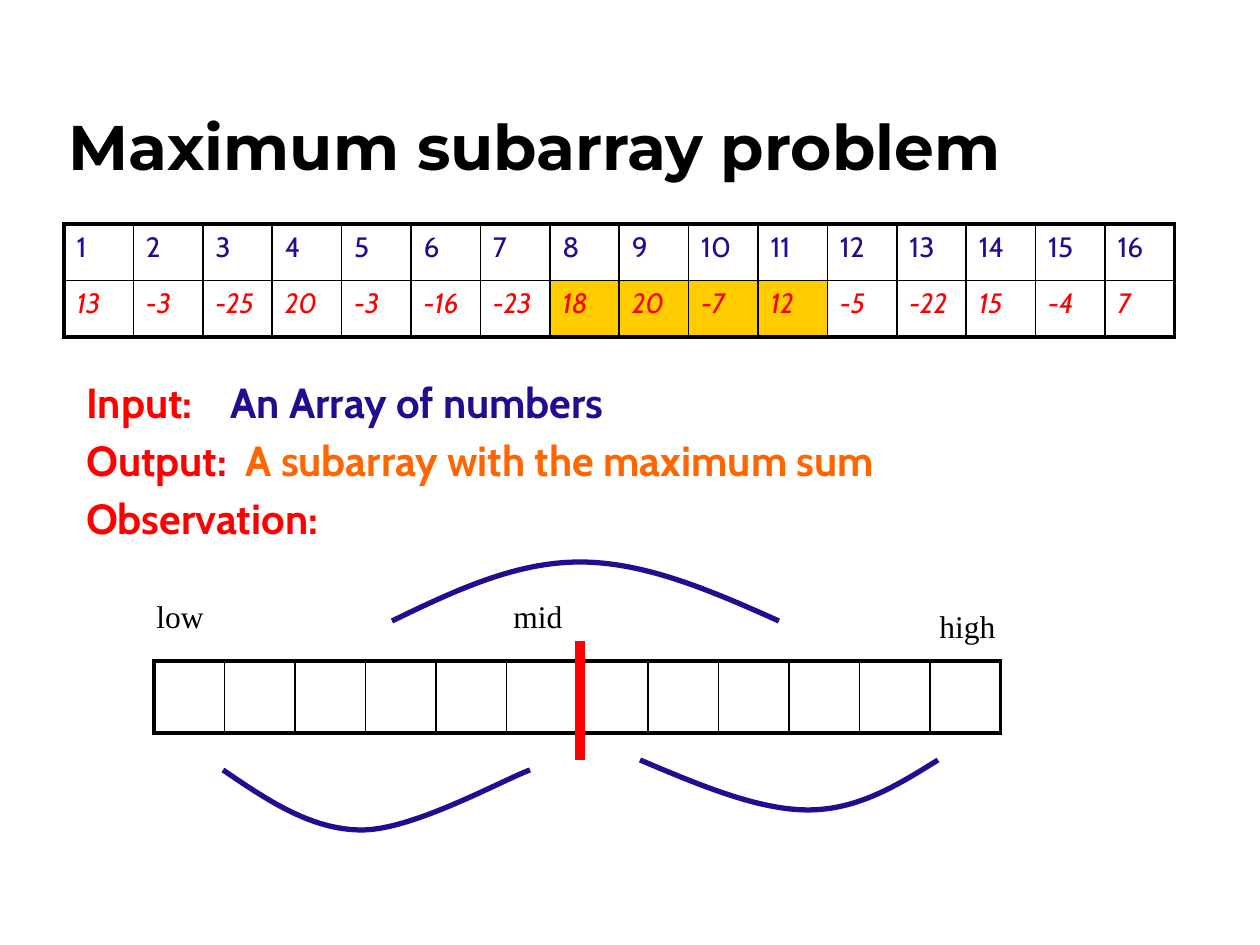
from dataclasses import dataclass

from lxml import etree
from pptx import Presentation
from pptx.dml.color import RGBColor
from pptx.enum.shapes import MSO_CONNECTOR as Conn
from pptx.enum.text import MSO_ANCHOR as Anchor
from pptx.oxml.ns import qn
from pptx.util import Emu, Pt


@dataclass(frozen=True)
class Theme:
    black: str = "000000"
    navy: str = "240B8F"
    red: str = "FF0000"
    orange: str = "FF6600"
    gold: str = "FFCC00"
    heading: str = "Montserrat"
    body: str = "Cabin"
    label: str = "Times New Roman"
    title_pt: int = 36
    body_pt: int = 24
    label_pt: int = 18
    cell_pt: int = 16
    outer_pt: float = 2.25
    inner_pt: float = 1
    curve_pt: float = 3
    split_pt: float = 6
    space_ratio: float = 0.18


T = Theme()
PX_PER_INCH = 126

NUMBERS = [13, -3, -25, 20, -3, -16, -23, 18, 20, -7, 12, -5, -22, 15, -4, 7]
BEST = range(7, 11)  # columns of the maximum subarray

# Label, answer, answer colour, tab position in px
STATEMENTS = [
    ("Input:", "An Array of numbers", T.navy, 144),
    ("Output:", "A subarray with the maximum sum", T.orange, 159),
    ("Observation:", "", T.navy, 0),
]
LABELS = [("low", 144, 591, 73), ("mid", 501, 591, 75), ("high", 927, 601, 82)]

# Start point, then three points for each Bezier segment
CURVES = [
    [(223, 770), (267, 800), (311, 830), (362, 830), (413, 830), (503, 780), (530, 770)],
    [(640, 760), (699, 785), (758, 810), (808, 810), (858, 810), (898, 785), (938, 760)],
    [(392, 621), (454, 591), (515, 562), (580, 562), (645, 562), (712, 591), (779, 621)],
]


def px(n):
    return Emu(round(n * 914400 / PX_PER_INCH))


def rgb(value):
    return RGBColor.from_string(value)


def add_text(p, text, *, font, size, color, bold=False, italic=False):
    r = p.add_run()
    r.text = text
    r.font.name, r.font.size = font, Pt(size)
    r.font.bold, r.font.italic = bold, italic
    r.font.color.rgb = rgb(color)


def add_box(s, x, y, w, h, wrap=True, anchor=Anchor.TOP):
    tf = s.shapes.add_textbox(px(x), px(y), px(w), px(h)).text_frame
    tf.word_wrap, tf.vertical_anchor = wrap, anchor
    return tf


def set_tab(p, pos):
    tabs = etree.SubElement(p._p.get_or_add_pPr(), qn("a:tabLst"))
    etree.SubElement(tabs, qn("a:tab"), pos=str(px(pos)), algn="l")


def set_borders(cell, outer):
    """Draw the sides named in outer thick and the others thin."""
    tc_pr = cell._tc.get_or_add_tcPr()
    for side in "LRTB":
        width = Pt(T.outer_pt if side in outer else T.inner_pt)
        ln = etree.SubElement(tc_pr, qn(f"a:ln{side}"), w=str(width))
        fill = etree.SubElement(ln, qn("a:solidFill"))
        etree.SubElement(fill, qn("a:srgbClr"), val=T.black)


def add_grid(s, x, y, w, h, rows, cols):
    table = s.shapes.add_table(rows, cols, px(x), px(y), px(w), px(h)).table
    table.first_row = table.horz_banding = False
    for i in range(rows):
        for j in range(cols):
            edges = {"T": i == 0, "B": i == rows - 1, "L": j == 0, "R": j == cols - 1}
            cell = table.cell(i, j)
            set_borders(cell, [side for side, on in edges.items() if on])
            cell.fill.background()
    return table


def add_number_table(s):
    table = add_grid(s, 64, 224, 1111, 113, 2, len(NUMBERS))
    for j, number in enumerate(NUMBERS):
        rows = [(j + 1, T.navy, False), (number, T.red, True)]
        for i, (value, color, italic) in enumerate(rows):
            p = table.cell(i, j).text_frame.paragraphs[0]
            p.space_before = Pt(T.cell_pt * T.space_ratio)
            add_text(p, str(value), font=T.body, size=T.cell_pt, color=color, italic=italic)
    for j in BEST:
        fill = table.cell(1, j).fill
        fill.solid()
        fill.fore_color.rgb = rgb(T.gold)


def add_statements(s):
    tf = add_box(s, 74, 370, 1131, 509)
    style = dict(font=T.body, size=T.body_pt, bold=True)
    for i, (label, answer, color, tab) in enumerate(STATEMENTS):
        p = tf.add_paragraph() if i else tf.paragraphs[0]
        p.space_before = Pt(T.body_pt * T.space_ratio)
        add_text(p, label, color=T.red, **style)
        if answer:
            set_tab(p, tab)
            add_text(p, "\t" + answer, color=color, **style)


def add_line(s, x1, y1, x2, y2, color, width):
    line = s.shapes.add_connector(Conn.STRAIGHT, px(x1), px(y1), px(x2), px(y2))
    line.line.color.rgb, line.line.width = rgb(color), Pt(width)
    etree.SubElement(line._element.spPr, qn("a:effectLst"))


def add_curve(s, points, color, width):
    start, *rest = [(px(x), px(y)) for x, y in points]
    builder = s.shapes.build_freeform(*start)
    builder.add_line_segments(rest, close=False)
    sp = builder.convert_to_shape()
    sp.shadow.inherit = False
    sp.fill.background()
    sp.line.color.rgb, sp.line.width = rgb(color), Pt(width)
    # Merge every three line segments into one Bezier segment
    segments = list(sp._element.iter(qn("a:lnTo")))
    for k in range(0, len(segments), 3):
        first, *others = segments[k:k + 3]
        first.tag = qn("a:cubicBezTo")
        for segment in others:
            first.append(segment[0])
            segment.getparent().remove(segment)


def main():
    prs = Presentation()
    prs.slide_width, prs.slide_height = px(1260), px(945)
    s = prs.slides.add_slide(prs.slide_layouts[6])

    # Title
    tf = add_box(s, 56, 32, 1071, 157, anchor=Anchor.BOTTOM)
    add_text(tf.paragraphs[0], "Maximum subarray problem", font=T.heading,
             size=T.title_pt, color=T.black, bold=True)

    # Problem statement and example
    add_statements(s)
    add_number_table(s)

    # Array split at its middle
    add_grid(s, 154, 661, 847, 72, 1, 12)
    for text, x, y, w in LABELS:
        tf = add_box(s, x, y, w, 50, wrap=False)
        add_text(tf.paragraphs[0], text, font=T.label, size=T.label_pt, color=T.black)
    add_line(s, 580, 760, 580, 641, T.red, T.split_pt)

    # Possible places of the subarray
    for points in CURVES:
        add_curve(s, points, T.navy, T.curve_pt)

    prs.save("out.pptx")


if __name__ == "__main__":
    main()
